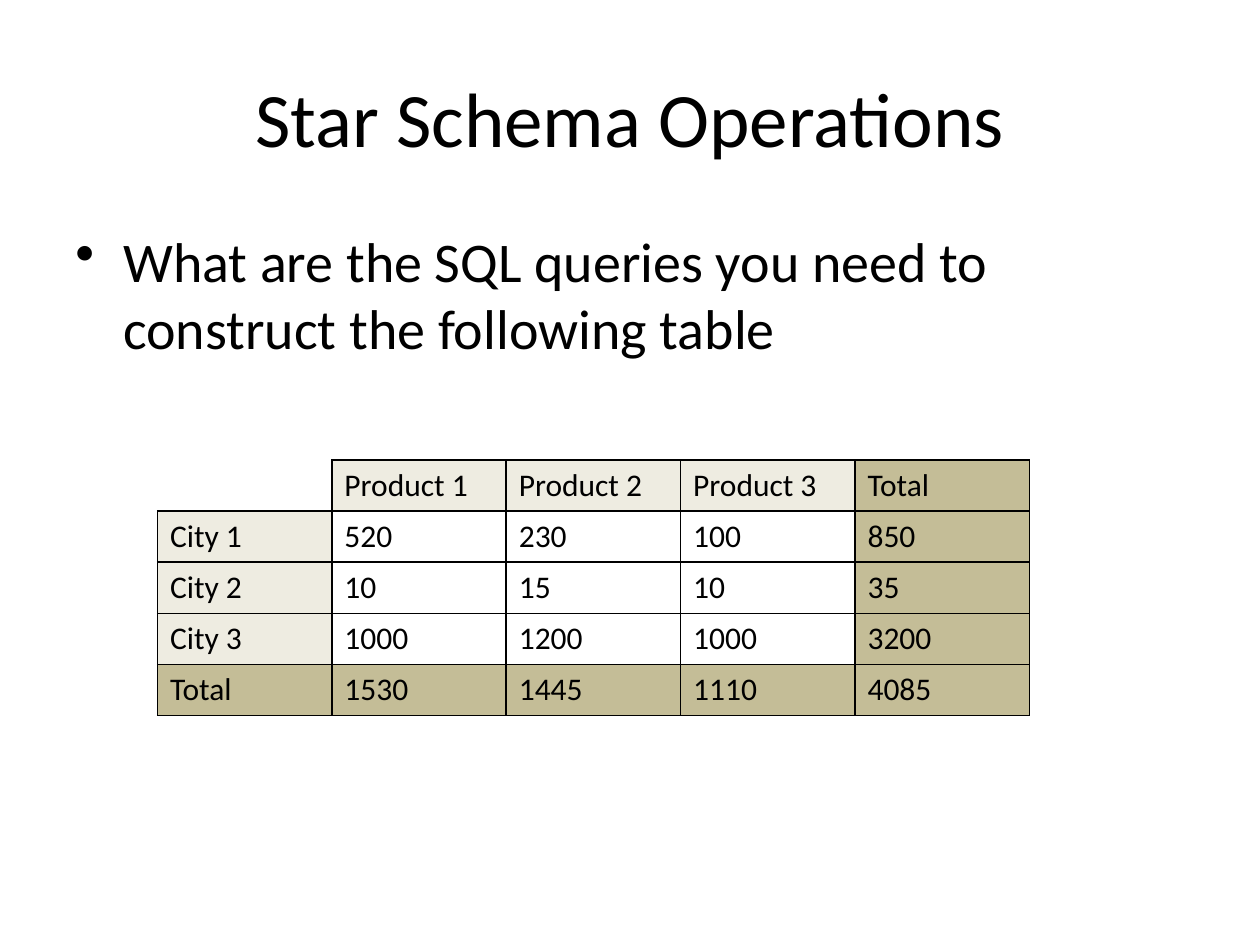
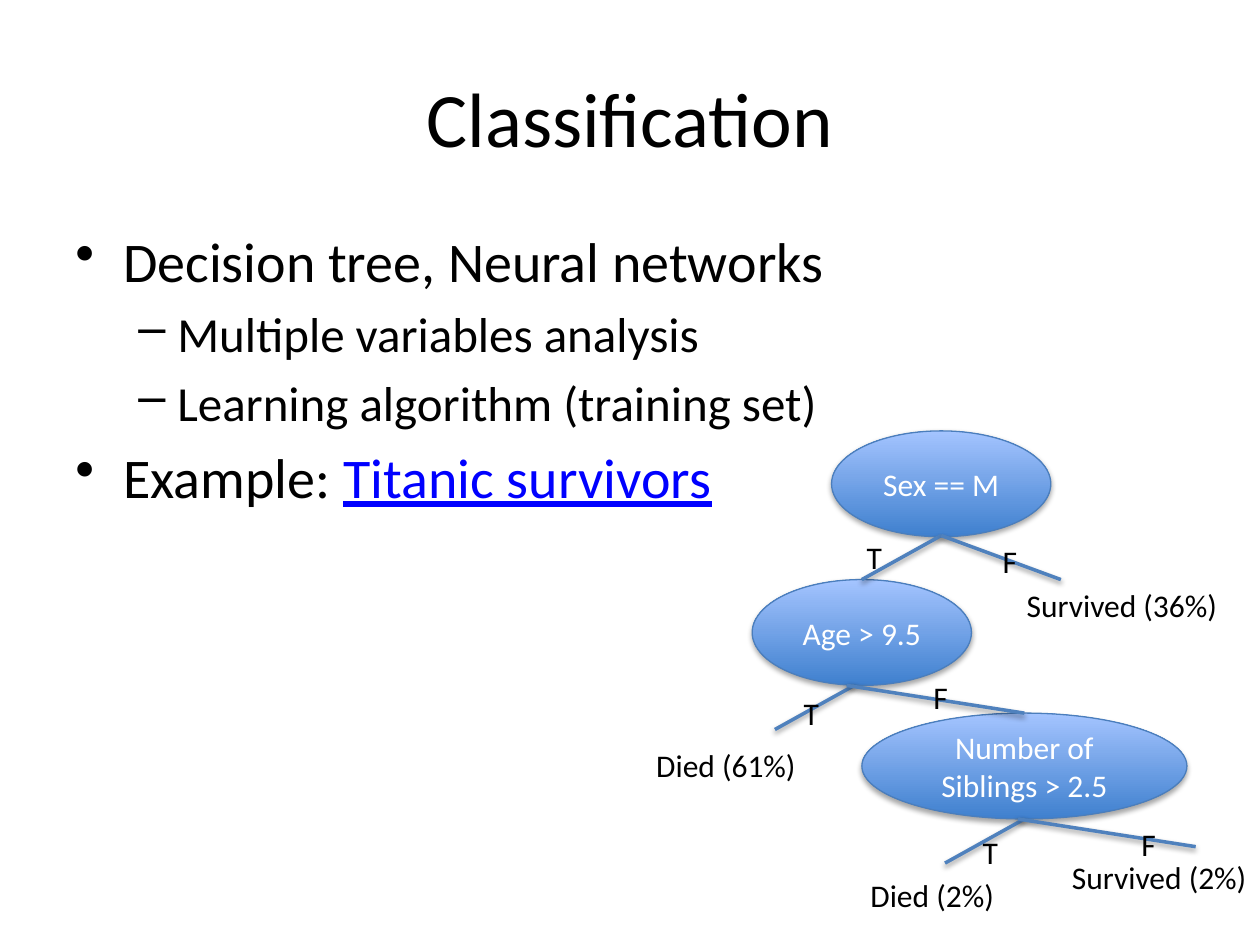
from lxml import etree
from pptx import Presentation
from pptx.dml.color import RGBColor
from pptx.enum.shapes import MSO_CONNECTOR, MSO_SHAPE
from pptx.enum.text import MSO_ANCHOR, MSO_AUTO_SIZE, PP_ALIGN
from pptx.oxml import parse_xml
from pptx.util import Inches, Pt

LEFT, CENTER = PP_ALIGN.LEFT, PP_ALIGN.CENTER
MIDDLE, GROW = MSO_ANCHOR.MIDDLE, MSO_AUTO_SIZE.SHAPE_TO_FIT_TEXT
OVAL, LINE = MSO_SHAPE.OVAL, MSO_CONNECTOR.STRAIGHT

NS = "http://schemas.openxmlformats.org/drawingml/2006/main"
FONT = "Calibri"
BLACK, WHITE, LINK = "000000", "FFFFFF", "0000FF"
PALE, TAN = "EEECE1", "C4BD97"
DEEP, LIGHT, RIM, EDGE = "3F80CE", "A4C4FF", "4B7EBC", "4F81BD"
# For each level: bullet, size, left margin, hanging indent
LEVELS = [("•", 32, 0.38, -0.38), ("–", 28, 0.81, -0.31)]


def rgb(color):
    return RGBColor.from_string(color)


def write(frame, text, size=18, color=BLACK, align=LEFT, level=None,
          more=False, under=None):
    """Add a paragraph, or with more=True a run to the last one."""
    para = frame.paragraphs[-1]
    if para.runs and not more:
        para = frame.add_paragraph()
    if level is not None:
        mark, size, margin, indent = LEVELS[level]
        if not more:
            props = para._p.get_or_add_pPr()
            props.set("marL", str(Inches(margin)))
            props.set("indent", str(Inches(indent)))
            etree.SubElement(props, f"{{{NS}}}buChar", char=mark)
            para.level = level
            para.space_before = Pt(size * 0.2)
    para.alignment = align
    run = para.add_run()
    run.text = text
    run.font.name = FONT
    run.font.size = Pt(size)
    run.font.color.rgb = rgb(color)
    run.font.underline = under


prs = Presentation()
prs.slide_width, prs.slide_height = Inches(10), Inches(7.5)

# Title and body frame of every slide
slides, bodies = [], []
for title in ("Star Schema Operations", "Classification"):
    slide = prs.slides.add_slide(prs.slide_layouts[6])
    head = slide.shapes.add_textbox(Inches(0.5), Inches(0.3), Inches(9), Inches(1.25))
    head.text_frame.word_wrap = True
    head.text_frame.vertical_anchor = MIDDLE
    write(head.text_frame, title, size=44, align=CENTER)
    body = slide.shapes.add_textbox(Inches(0.5), Inches(1.75), Inches(9), Inches(4.95))
    body.text_frame.word_wrap = True
    slides.append(slide)
    bodies.append(body.text_frame)

# Slide 1: cross table of sales
write(bodies[0], "What are the SQL queries you need to construct the following table",
      level=0)
rows = [
    ["", "Product 1", "Product 2", "Product 3", "Total"],
    ["City 1", "520", "230", "100", "850"],
    ["City 2", "10", "15", "10", "35"],
    ["City 3", "1000", "1200", "1000", "3200"],
    ["Total", "1530", "1445", "1110", "4085"],
]
last = len(rows) - 1
table = slides[0].shapes.add_table(5, 5, Inches(1.25), Inches(3.65),
                                   Inches(6.92), Inches(2.03)).table
table.first_row = table.horz_banding = False
for r, row in enumerate(rows):
    for c, text in enumerate(row):
        cell = table.cell(r, c)
        props = cell._tc.get_or_add_tcPr()
        for side in "LRTB" if text else "RB":
            props.append(parse_xml(
                f'<a:ln{side} xmlns:a="{NS}" w="12700"><a:solidFill>'
                f'<a:srgbClr val="{BLACK}"/></a:solidFill></a:ln{side}>'))
        if text and (last in (r, c) or 0 in (r, c)):
            cell.fill.solid()
            cell.fill.fore_color.rgb = rgb(TAN if last in (r, c) else PALE)
        else:
            cell.fill.background()
        if text:
            write(cell.text_frame, text)

# Slide 2: decision tree
body = bodies[1]
write(body, "Decision tree, Neural networks", level=0)
write(body, "Multiple variables analysis", level=1)
write(body, "Learning algorithm (training set)", level=1)
write(body, "Example: ", level=0)
write(body, "Titanic survivors", level=0, color=LINK, more=True, under=True)

shapes = slides[1].shapes
shaded = []
tests = [("Sex == M", 6.6, 3.42, 1.74), ("Age > 9.5", 5.97, 4.6, 1.74),
         ("Number of Siblings > 2.5", 6.84, 5.66, 2.58)]
for text, x, y, w in tests:
    node = shapes.add_shape(OVAL, Inches(x), Inches(y), Inches(w), Inches(0.84))
    node.fill.gradient()
    node.fill.gradient_angle = 90
    for stop, color in zip(node.fill.gradient_stops, (DEEP, LIGHT)):
        stop.color.rgb = rgb(color)
    node.line.color.rgb = rgb(RIM)
    node.line.width = Pt(0.75)
    node.text_frame.word_wrap = True
    node.text_frame.vertical_anchor = MIDDLE
    write(node.text_frame, text, color=WHITE, align=CENTER)
    shaded.append((node, 1.8))

edges = [(7.47, 4.25, 6.84, 4.6), (7.47, 4.25, 8.42, 4.6),
         (6.78, 5.44, 6.15, 5.79), (6.72, 5.44, 8.13, 5.66),
         (8.13, 6.5, 7.5, 6.85), (8.08, 6.5, 9.49, 6.72)]
for ends in edges:
    edge = shapes.add_connector(LINE, *map(Inches, ends))
    edge.line.color.rgb = rgb(EDGE)
    edge.line.width = Pt(2)
    shaded.append((edge, 1.6))

for shape, drop in shaded:
    alpha = 35000 if drop == 1.8 else 38000
    shape._element.spPr.append(parse_xml(
        f'<a:effectLst xmlns:a="{NS}"><a:outerShdw blurRad="{Pt(3.1)}" '
        f'dist="{Pt(drop)}" dir="5400000" rotWithShape="0">'
        f'<a:srgbClr val="{BLACK}"><a:alpha val="{alpha}"/></a:srgbClr>'
        '</a:outerShdw></a:effectLst>'))

labels = [("T", 6.78, 4.22, 0.33), ("F", 7.86, 4.25, 0.32),
          ("T", 6.28, 5.46, 0.33), ("F", 7.31, 5.33, 0.32),
          ("T", 7.7, 6.56, 0.33), ("F", 8.96, 6.5, 0.32),
          ("Survived (36%)", 8.05, 4.6, 1.73), ("Survived (2%)", 8.41, 6.76, 1.6),
          ("Died (61%)", 5.11, 5.87, 1.32), ("Died (2%)", 6.81, 6.9, 1.19)]
for text, x, y, w in labels:
    label = shapes.add_textbox(Inches(x), Inches(y), Inches(w), Inches(0.4))
    label.text_frame.word_wrap = False
    label.text_frame.auto_size = GROW
    write(label.text_frame, text)

prs.save("out.pptx")
